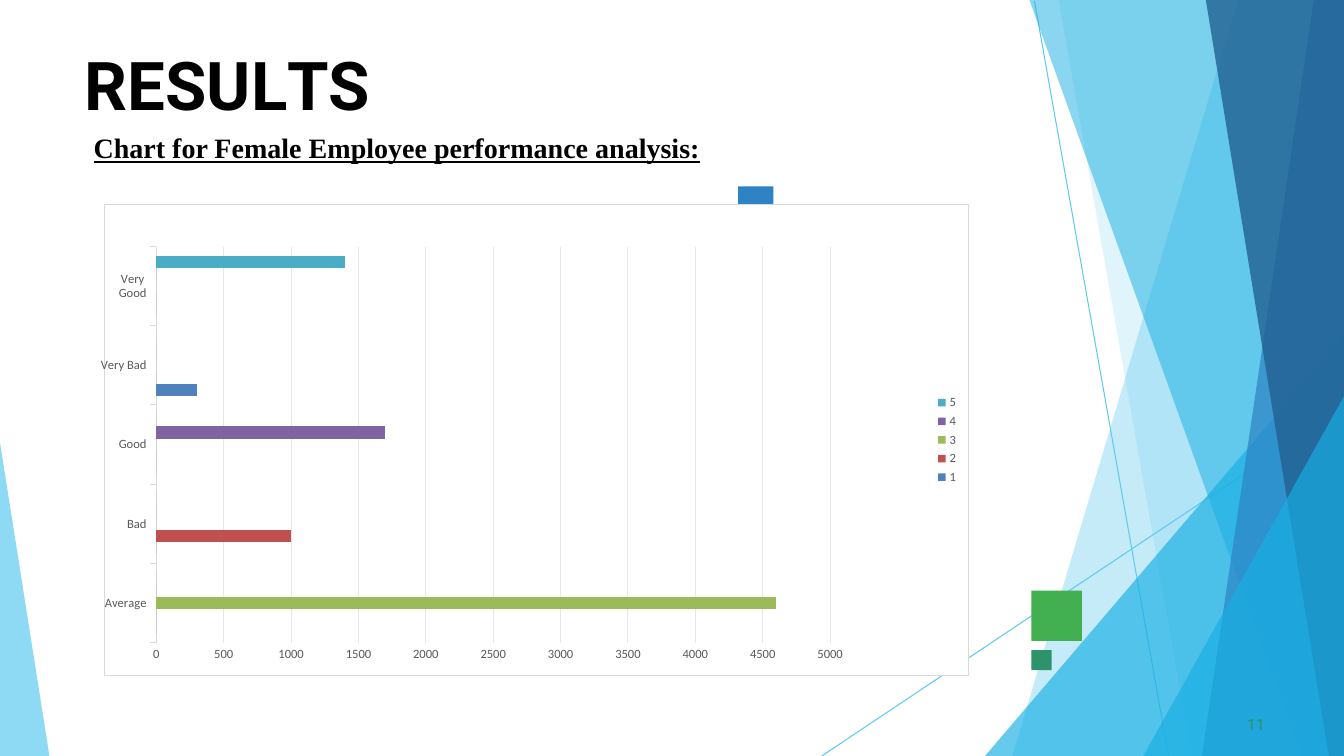
"""Build the results slide with its employee performance chart."""
import dataclasses

import lxml.etree
import pptx
import pptx.chart.data
import pptx.dml.color
import pptx.enum.chart
import pptx.enum.shapes
import pptx.enum.text
import pptx.oxml
import pptx.oxml.ns
import pptx.util

PX = 9144
W, H = 1333, 750


@dataclasses.dataclass(frozen=True)
class Theme:
    sky: str = "5FCAEE"
    cyan: str = "17AFE3"
    blue: str = "2D83C3"
    navy: str = "226192"
    green: str = "42AF51"
    teal: str = "2D936B"
    ink: str = "000000"
    paper: str = "FFFFFF"
    label: str = "595959"
    border: str = "D9D9D9"
    grid: str = "E6E6E6"
    series: tuple = ("4F81BD", "C0504D", "9BBB59", "8064A2", "4BACC6")
    display: str = "Roboto"
    serif: str = "Times New Roman"
    sans: str = "Calibri"
    title: int = 48
    subtitle: int = 20
    number: int = 11
    chart: int = 10
    axis: int = 9
    hairline: float = 0.75


def rgb(color):
    return pptx.dml.color.RGBColor.from_string(color)


def px(*lengths):
    return [pptx.util.Emu(n * PX) for n in lengths]


@dataclasses.dataclass
class Deck:
    theme: Theme
    slide: object

    def paint(self, sp, color, alpha=100):
        sp.shadow.inherit = False
        sp.fill.solid()
        sp.fill.fore_color.rgb = rgb(color)
        sp.line.fill.background()
        if alpha < 100:
            clr = sp.fill._xPr.find(".//" + pptx.oxml.ns.qn("a:srgbClr"))
            lxml.etree.SubElement(clr, pptx.oxml.ns.qn("a:alpha"), val=str(alpha * 1000))

    def polygon(self, points, color, alpha):
        fb = self.slide.shapes.build_freeform(*points[0], scale=PX)
        fb.add_line_segments(points[1:], close=True)
        self.paint(fb.convert_to_shape(), color, alpha)

    def rect(self, x, y, w, h, color):
        kind = pptx.enum.shapes.MSO_SHAPE.RECTANGLE
        self.paint(self.slide.shapes.add_shape(kind, *px(x, y, w, h)), color)

    def stroke(self, line, color):
        line.color.rgb = rgb(color)
        line.width = pptx.util.Pt(self.theme.hairline)

    def line(self, x1, y1, x2, y2, color):
        kind = pptx.enum.shapes.MSO_CONNECTOR.STRAIGHT
        cxn = self.slide.shapes.add_connector(kind, *px(x1, y1, x2, y2))
        self.stroke(cxn.line, color)
        lxml.etree.SubElement(cxn._element.spPr, pptx.oxml.ns.qn("a:effectLst"))

    def font(self, font, name, size, color):
        font.name, font.size = name, pptx.util.Pt(size)
        font.color.rgb = rgb(color)

    def text(self, box, runs, name, size, color, bold=False, underline=False,
             insets=(0, 1, 0, 0), indent=0, before=0):
        tf = self.slide.shapes.add_textbox(*px(*box)).text_frame
        tf.word_wrap = True
        tf.auto_size = pptx.enum.text.MSO_AUTO_SIZE.SHAPE_TO_FIT_TEXT
        tf.margin_left, tf.margin_top, tf.margin_right, tf.margin_bottom = px(*insets)
        p = tf.paragraphs[0]
        p.space_before = pptx.util.Pt(before)
        p._p.get_or_add_pPr().set("marL", str(indent * PX))
        for words, spacing in runs:
            r = p.add_run()
            r.text = words
            self.font(r.font, name, size, color)
            r.font.bold, r.font.underline = bold, underline
            r._r.get_or_add_rPr().set("spc", str(round(spacing * 100)))

    def bar_chart(self, box, cats, series, top, step, plot):
        t, xl = self.theme, pptx.enum.chart
        data = pptx.chart.data.CategoryChartData()
        data.categories = cats
        for name, values in series:
            data.add_series(name, values)
        kind = xl.XL_CHART_TYPE.BAR_CLUSTERED
        chart = self.slide.shapes.add_chart(kind, *px(*box), data).chart
        self.font(chart.font, t.sans, t.chart, t.ink)
        chart.has_title = False
        chart.has_legend = True
        chart.legend.position = xl.XL_LEGEND_POSITION.RIGHT
        chart.legend.include_in_layout = False
        self.font(chart.legend.font, t.sans, t.axis, t.label)

        bars = chart.plots[0]
        bars.gap_width, bars.overlap, bars.vary_by_categories = 150, 0, False
        for s, color in zip(bars.series, t.series):
            s.invert_if_negative = False
            s.format.fill.solid()
            s.format.fill.fore_color.rgb = rgb(color)

        cat, val = chart.category_axis, chart.value_axis
        for axis in (cat, val):
            self.font(axis.tick_labels.font, t.sans, t.axis, t.label)
            axis.minor_tick_mark = xl.XL_TICK_MARK.NONE
        cat.major_tick_mark = xl.XL_TICK_MARK.OUTSIDE
        cat.has_major_gridlines = False
        self.stroke(cat.format.line, t.border)
        val.major_tick_mark = xl.XL_TICK_MARK.NONE
        val.minimum_scale, val.maximum_scale, val.major_unit = 0, top, step
        val.format.line.fill.background()
        val.has_major_gridlines = True
        self.stroke(val.major_gridlines.format.line, t.grid)
        self.chart_frame(chart, plot)

    def chart_frame(self, chart, plot):
        t, ns = self.theme, pptx.oxml.ns
        root = chart._chartSpace.find(ns.qn("c:chart"))
        area = root.find(ns.qn("c:plotArea"))
        for old in area.findall(ns.qn("c:layout")):
            area.remove(old)
        spots = "".join(f'<c:{k} val="{v}"/>' for k, v in zip("xywh", plot))
        area.insert(0, pptx.oxml.parse_xml(
            f'<c:layout {ns.nsdecls("c")}><c:manualLayout><c:layoutTarget val="inner"/>'
            f'<c:xMode val="edge"/><c:yMode val="edge"/>{spots}'
            '</c:manualLayout></c:layout>'))
        root.addnext(pptx.oxml.parse_xml(
            f'<c:spPr {ns.nsdecls("c", "a")}>'
            f'<a:solidFill><a:srgbClr val="{t.paper}"/></a:solidFill>'
            f'<a:ln w="{pptx.util.Pt(t.hairline)}"><a:solidFill>'
            f'<a:srgbClr val="{t.border}"/></a:solidFill></a:ln></c:spPr>'))


def main():
    prs = pptx.Presentation()
    prs.slide_width, prs.slide_height = px(W, H)
    t = Theme()
    deck = Deck(t, prs.slides.add_slide(prs.slide_layouts[6]))

    deck.line(1026, 1, 1159, H, t.sky)
    deck.line(W, 404, 815, H, t.sky)
    for top_x, bottom_x, color, alpha in (
            (1228, 1004, t.sky, 36), (1050, 1182, t.sky, 20), (None, 977, t.cyan, 66),
            (1021, 1291, t.cyan, 50), (1303, 1192, t.blue, 70), (1196, 1318, t.navy, 80)):
        start = [(W, 333)] if top_x is None else [(W, 0), (top_x, 0)]
        deck.polygon(start + [(bottom_x, H), (W, H)], color, alpha)
    deck.polygon([(W, 393), (1134, H), (W, H)], t.cyan, 66)
    deck.polygon([(0, 439), (0, H), (49, H)], t.sky, 70)

    deck.rect(1023, 586, 50, 50, t.green)
    deck.rect(732, 185, 35, 35, t.blue)
    deck.rect(1023, 645, 20, 20, t.teal)

    letters = [("R", 0), ("E", -0.4), ("S", 0.1), ("U", -0.3), ("L", -4), ("TS", 0)]
    deck.text((83, 42, 1168, 83), letters, t.display, t.title, t.ink,
              bold=True, indent=1, before=1.1)
    deck.text((1233, 708, 25, 21), [("11", 0.1)], t.display, t.number, t.teal,
              indent=4, before=0.6)
    deck.text((83, 125, 650, 44), [("Chart for Female Employee performance analysis:", 0)],
              t.serif, t.subtitle, t.ink, bold=True, underline=True, insets=(10, 5, 10, 5))

    ratings = {"Average": ("3", 4600), "Bad": ("2", 1000), "Good": ("4", 1700),
               "Very Bad": ("1", 300), "Very Good": ("5", 1400)}
    series = [(name, [v if score == name else 0 for score, v in ratings.values()])
              for name in "12345"]
    deck.bar_chart((100, 202, 861, 469), list(ratings), series, 5000, 500,
                   (0.06, 0.09, 0.78, 0.84))
    prs.save("out.pptx")


if __name__ == "__main__":
    main()
